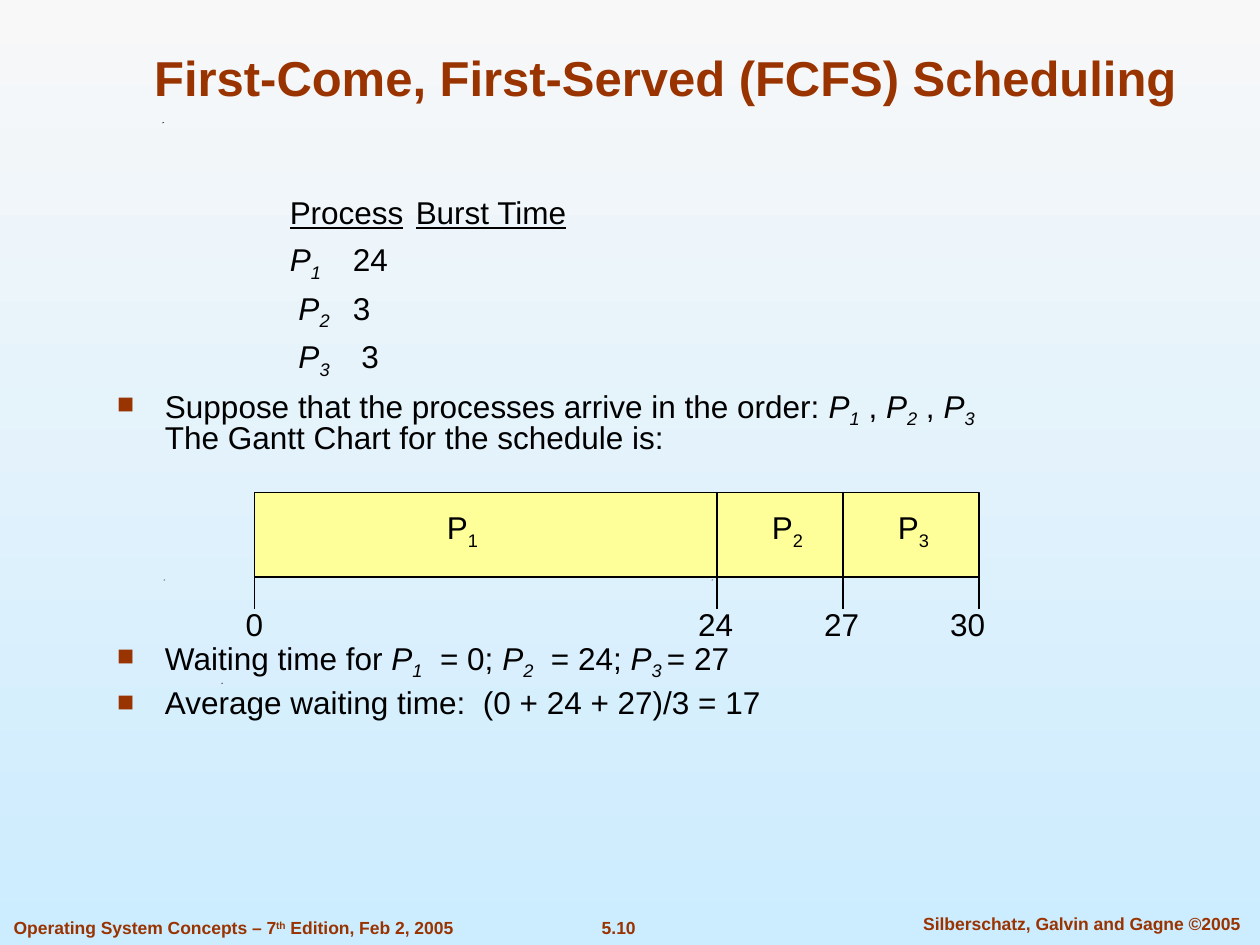
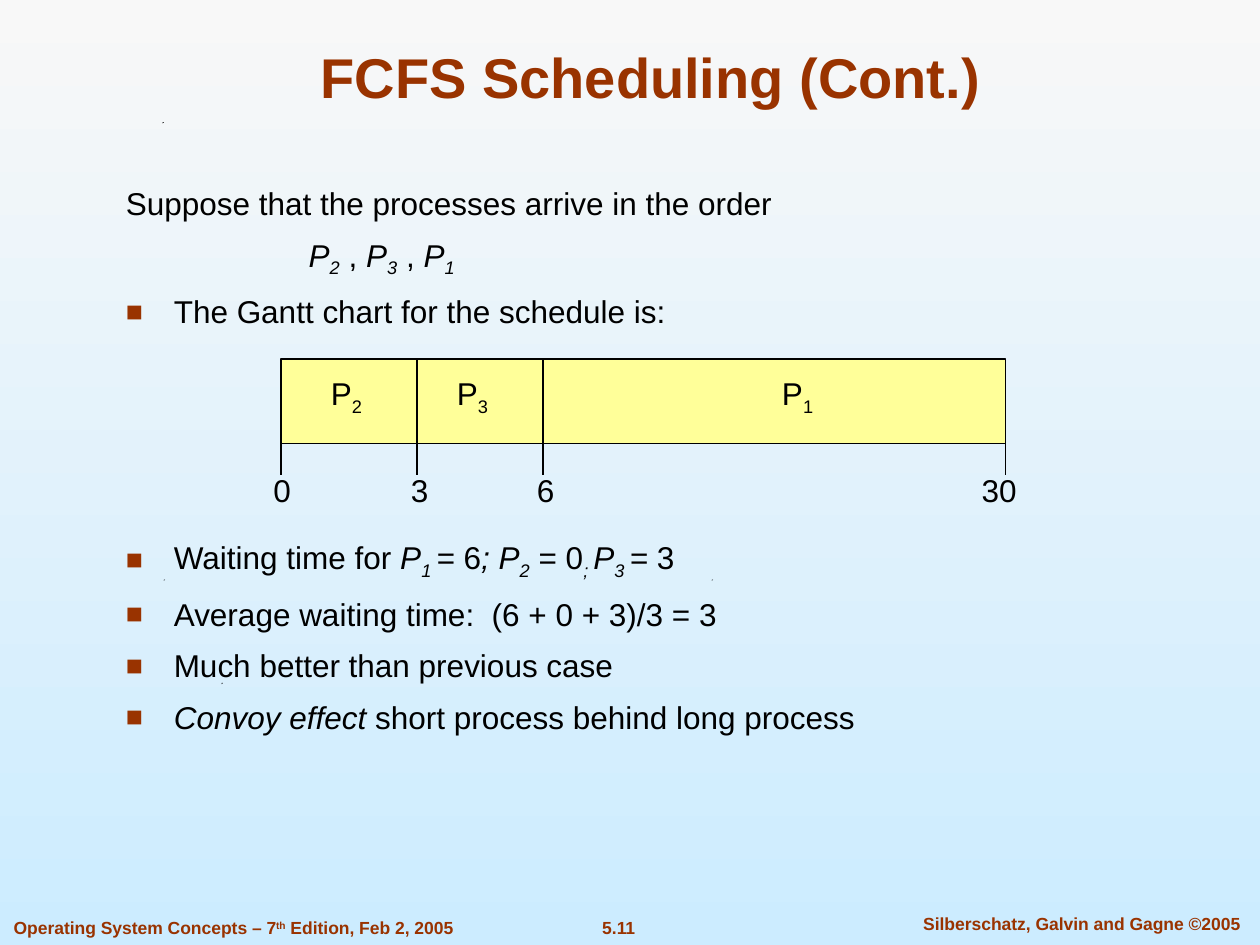
"""Build two slides on first-come, first-served scheduling."""
from lxml.etree import SubElement
from pptx import Presentation
from pptx.dml.color import RGBColor
from pptx.enum.shapes import MSO_CONNECTOR, MSO_SHAPE
from pptx.enum.text import MSO_ANCHOR, PP_ALIGN
from pptx.oxml.ns import qn
from pptx.util import Inches, Pt

WIDE, HIGH = 10, 7.5
RUST, BLACK, CREAM = "993300", "000000", "FFFF99"
SKY = ("F8F8F8", "CCECFF")
MARKS = {"*": "italic", "~": "underline", "_": "sub", "^": "sup"}
SHIFT = {"sub": "-25000", "sup": "30000"}
TEXT = {"size": 18, "color": BLACK, "bold": False}
FOOT = {"size": 10, "color": RUST, "bold": True}
LEFT, MID, TOP, LOW = PP_ALIGN.LEFT, PP_ALIGN.CENTER, MSO_ANCHOR.TOP, MSO_ANCHOR.BOTTOM

FEET = [
    ((0.01, 7.23, 3.69, 0.27), "Operating System Concepts – 7^th^ Edition, Feb 2, 2005", LEFT),
    ((7.1, 7.2, 2.97, 0.27), "Silberschatz, Galvin and Gagne ©2005", MID),
]
SPECKS = [(1.76, 5.42), (1.3, 4.6), (5.65, 4.6), (1.29, 0.97)]
BAR, DEEP, TICK = 5.75, 0.67, 0.25

SLIDES = [
    {
        "page": "5.10",
        "title": ("First-Come, First-Served (FCFS) Scheduling", 28, (0.72, 0.39, 9.12, 0.5)),
        "lead": 0.8,
        "blocks": [
            (2.3, 1.59, 1.5, [
                ("~Process~\t~Burst Time~", None),
                ("*P_1_*\t24", None),
                (" *P_2_*\t3", None),
                (" *P_3_*\t 3", None),
            ]),
            (0.93, 3.1, 0.6, [
                ("Suppose that the processes arrive in the order: "
                 "*P_1_* , *P_2_* , *P_3_*\nThe Gantt Chart for the schedule is:", "■"),
            ]),
            (0.93, 5.1, 0.7, [
                ("Waiting time for *P_1_*  = 0; *P_2_*  = 24; *P_3 _*= 27", "■"),
                ("Average waiting time:  (0 + 24 + 27)/3 = 17", "■"),
            ]),
        ],
        "gantt": {
            "at": (2.02, 3.91),
            "cuts": [0, 3.67, 4.67, BAR],
            "jobs": [("P_1_", 1.65), ("P_2_", 4.23), ("P_3_", 5.23)],
            "times": [("0", 0), ("24", 3.66), ("27", 4.66), ("30", 5.66)],
        },
    },
    {
        "page": "5.11",
        "title": ("FCFS Scheduling (Cont.)", 32, (0.75, 0.25, 8.83, 0.67)),
        "lead": 1.0,
        "blocks": [
            (1, 1.46, 1.3, [
                ("Suppose that the processes arrive in the order", None),
                ("*P_2_* , *P_3_* , *P_1_*", 1.45),
                ("The Gantt chart for the schedule is:", "■"),
            ]),
            (1, 4.27, 1.7, [
                ("Waiting time for *P_1 _=* 6*; P_2_* = 0*_; _P_3 _= *3", "■"),
                ("Average waiting time:  (6 + 0 + 3)/3 = 3", "■"),
                ("Much better than previous case", "■"),
                ("*Convoy effect* short process behind long process", "■"),
            ]),
        ],
        "gantt": {
            "at": (2.23, 2.85),
            "cuts": [0, 1.08, 2.08, BAR],
            "jobs": [("P_2_", 0.52), ("P_3_", 1.52), ("P_1_", 4.1)],
            "times": [("0", 0.01), ("3", 1.1), ("6", 2.1), ("30", 5.7)],
        },
    },
]


def tint(code):
    return RGBColor.from_string(code)


def put(item, form):
    for key, val in form.items():
        setattr(item, key, val)


def add_run(para, text, form, on):
    run = para.add_run()
    run.text = text
    put(run.font, {"name": "Arial", "size": Pt(form["size"]), "bold": form["bold"],
                   "italic": "italic" in on, "underline": "underline" in on})
    run.font.color.rgb = tint(form["color"])
    for key in on & SHIFT.keys():
        run._r.get_or_add_rPr().set("baseline", SHIFT[key])


def write(para, text, form):
    on, part = set(), ""
    for sign in text + "\0":
        if sign not in MARKS and sign not in "\n\0":
            part += sign
            continue
        if part:
            add_run(para, part, form, on)
        part = ""
        if sign in MARKS:
            on ^= {MARKS[sign]}
        elif sign == "\n":
            para.add_line_break()


def add_box(slide, at, pad=(0.1, 0.05), wrap=False, anchor=TOP):
    frame = slide.shapes.add_textbox(*map(Inches, at)).text_frame
    side, edge = map(Inches, pad)
    put(frame, {"margin_left": side, "margin_right": side, "margin_top": edge,
                "margin_bottom": edge, "word_wrap": wrap, "vertical_anchor": anchor})
    return frame


def add_label(slide, at, text, form, align=MID, anchor=TOP):
    para = add_box(slide, at, anchor=anchor).paragraphs[0]
    para.alignment = align
    write(para, text, form)


def set_list(para, kind):
    props = para._p.get_or_add_pPr()

    def add(root, tag, **attrs):
        return SubElement(root, qn("a:" + tag), attrs)

    if kind == "■":
        put_at = {"marL": Inches(0.38), "indent": -Inches(0.38)}
        add(add(props, "buClr"), "srgbClr", val=RUST)
        add(props, "buSzPct", val="90000")
        add(props, "buFont", typeface="Arial")
        add(props, "buChar", char=kind)
    else:
        put_at = {"marL": Inches(kind or 0), "indent": 0}
        add(props, "buNone")
        add(add(props, "tabLst"), "tab", pos=str(Inches(1)), algn="l")
    for key, val in put_at.items():
        props.set(key, str(val))


def add_block(slide, left, top, tall, rows, lead):
    frame = add_box(slide, (left, top, 9.1 - left, tall), (0, 0), True)
    for num, (text, kind) in enumerate(rows):
        para = frame.add_paragraph() if num else frame.paragraphs[0]
        set_list(para, kind)
        put(para, {"line_spacing": lead, "space_before": Pt(7.9 if num else 0)})
        write(para, text, TEXT)


def add_line(slide, x, top, end):
    line = slide.shapes.add_connector(MSO_CONNECTOR.STRAIGHT, *map(Inches, (x, top, x, end)))
    line.line.color.rgb = tint(BLACK)
    line.line.width = Pt(0.75)
    SubElement(line._element.spPr, qn("a:effectLst"))


def add_gantt(slide, at, cuts, jobs, times):
    left, top = at
    base = top + DEEP
    bar = slide.shapes.add_shape(MSO_SHAPE.RECTANGLE, *map(Inches, (left, top, BAR, DEEP)))
    bar.shadow.inherit = False
    bar.fill.solid()
    bar.fill.fore_color.rgb = tint(CREAM)
    bar.line.color.rgb = tint(BLACK)
    bar.line.width = Pt(0.75)
    for cut in cuts[1:-1]:
        add_line(slide, left + cut, top, base)
    for cut in cuts:
        add_line(slide, left + cut, base, base + TICK)
    for names, drop, tall in ((jobs, 0.07, 0.44), (times, 0.84, 0.4)):
        for text, mid in names:
            spot = (left + mid - 0.24, top + drop, 0.48, tall)
            add_label(slide, spot, text, TEXT, anchor=MSO_ANCHOR.MIDDLE)


def add_frame(slide, page):
    fill = slide.background.fill
    fill.gradient()
    fill.gradient_angle = 270
    for stop, code in zip(fill.gradient_stops, SKY):
        stop.color.rgb = tint(code)
    for x, y in SPECKS:
        pen = slide.shapes.build_freeform(Inches(x), Inches(y + 0.01))
        pen.add_line_segments([(Inches(x + 0.01), Inches(y)), (Inches(x), Inches(y))])
        speck = pen.convert_to_shape()
        speck.shadow.inherit = False
        speck.fill.solid()
        speck.fill.fore_color.rgb = tint(BLACK)
        speck.line.fill.background()
    for at, text, align in FEET + [((4.42, 7.23, 0.98, 0.27), page, MID)]:
        add_label(slide, at, text, FOOT, align)


def main():
    deck = Presentation()
    put(deck, {"slide_width": Inches(WIDE), "slide_height": Inches(HIGH)})
    for data in SLIDES:
        slide = deck.slides.add_slide(deck.slide_layouts[6])
        add_frame(slide, data["page"])
        text, size, at = data["title"]
        add_label(slide, at, text, {**FOOT, "size": size}, anchor=LOW)
        for block in data["blocks"]:
            add_block(slide, *block, data["lead"])
        add_gantt(slide, **data["gantt"])
    deck.save("out.pptx")


if __name__ == "__main__":
    main()
